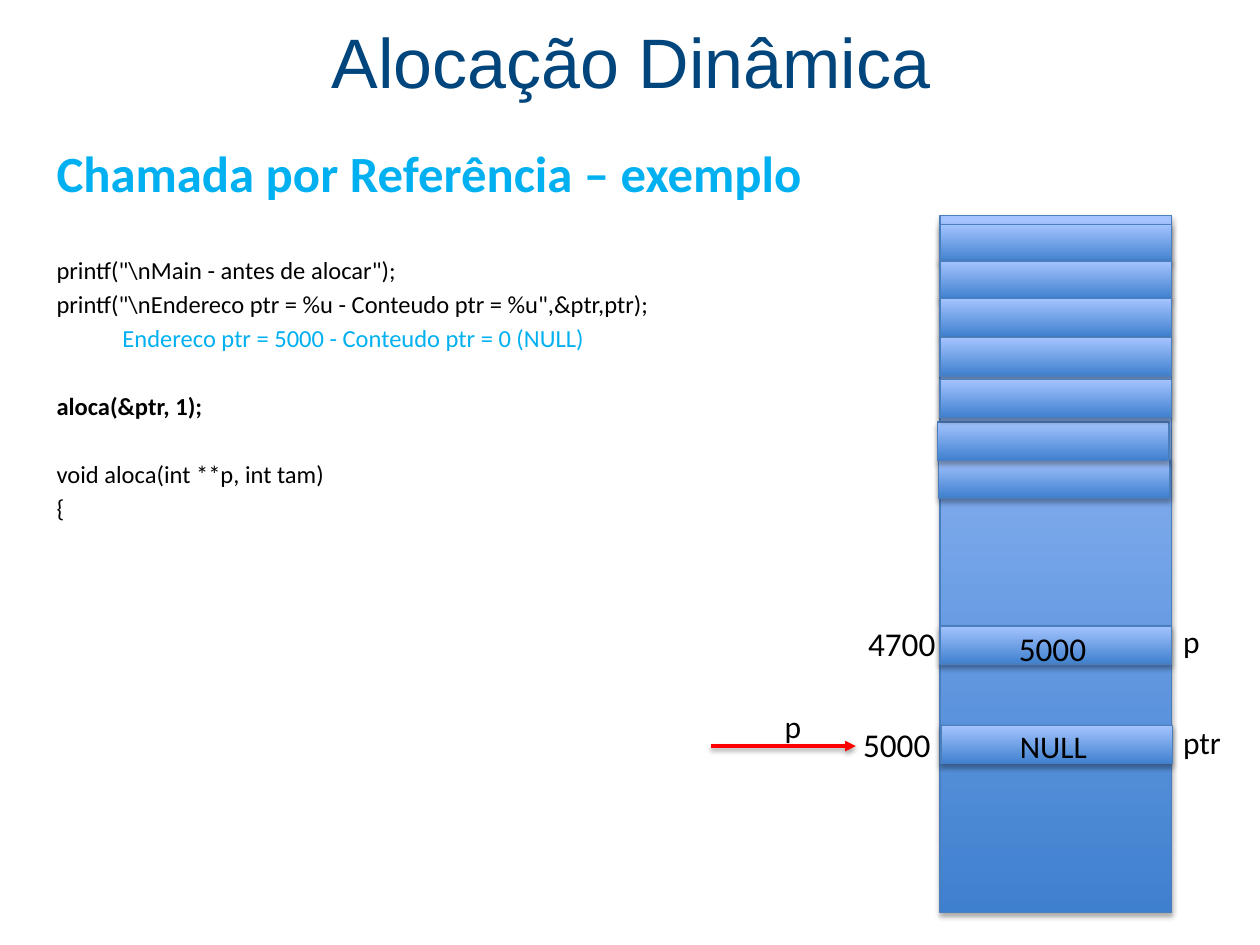
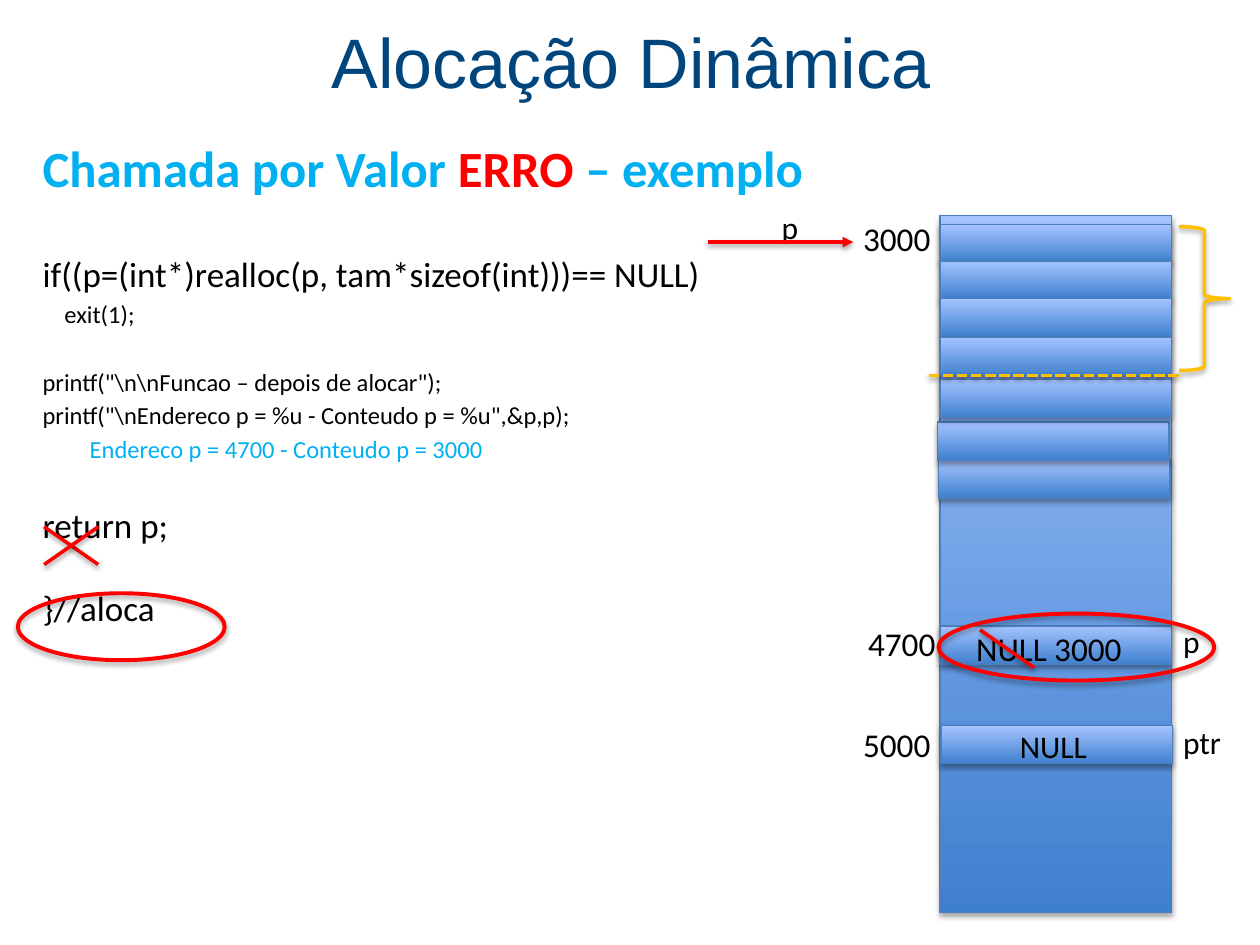
"""Build two slides on dynamic allocation, each with code beside a memory column."""
import lxml.etree
import pptx
import pptx.dml.color
import pptx.enum.dml
import pptx.enum.shapes
import pptx.enum.text
import pptx.oxml.ns
import pptx.util

Cm, Pt = pptx.util.Cm, pptx.util.Pt
SHAPE = pptx.enum.shapes.MSO_SHAPE
BLACK, CYAN, RED, AMBER, NAVY = "000000", "00B0F0", "FF0000", "FFC000", "00457C"
CELL_DARK, CELL_LIGHT, CELL_EDGE = "3F80CE", "A4C4FF", "4B7EBC"

TITLE = "Alocação Dinâmica"
TITLE_AT = (0.89, 0.08, 23.65, 2.29)
COLUMN_AT = (18.95, 4.34, 4.67, 14.05)
CELL_SIZE = (4.67, 0.77)
CELLS = [(18.95, 4.52), (18.95, 5.26), (18.95, 6.02), (18.95, 6.81), (18.92, 9.27),
         (18.9, 8.51), (18.95, 7.65), (18.95, 12.62), (18.97, 14.63)]
LABEL_HEIGHTS = {18: 1.02, 19: 1.93}
SHARED_LABELS = [
    ("ptr", 23.6, 14.45, 1.8, 18),
    ("NULL", 20.31, 14.54, 2.7, 18),
    ("5000", 17.15, 14.48, 2.16, 19),
    ("p", 23.6, 12.42, 1.8, 18),
    ("4700", 17.25, 12.45, 2.16, 19),
]
LINE_GAP = 2.5
BLANK_GAP = 22

SLIDES = [
    {
        "code_at": (0.89, 2.74, 23.95, 15.57),
        "code": [
            (0, 0, [("Chamada por Referência – exemplo", 29, CYAN, True)]),
            (30, 0, [('printf("\\nMain - antes de alocar");', 14, BLACK, False)]),
            (LINE_GAP, 0, [('printf("\\nEndereco ptr = %u - Conteudo ptr = %u",&ptr,ptr);',
                            14, BLACK, False)]),
            (LINE_GAP, 1.33, [("Endereco ptr = 5000 - Conteudo ptr = 0 (NULL)",
                               14, CYAN, False)]),
            (BLANK_GAP, 0, [("aloca(&ptr, 1);", 14, BLACK, True)]),
            (BLANK_GAP, 0, [("void aloca(int **p, int tam)", 14, BLACK, False)]),
            (LINE_GAP, 0, [("{", 14, BLACK, False)]),
        ],
        "labels": [("5000", 20.29, 12.55, 2.16, 19), ("p", 15.57, 14.12, 1.57, 18)],
        "lines": [(14.33, 15.04, 17.25, 15.04, RED, "arrow")],
        "marks": [],
    },
    {
        "code_at": (0.61, 2.64, 24.64, 15.57),
        "code": [
            (0, 0, [("Chamada por Valor ", 29, CYAN, True), ("ERRO ", 29, RED, True),
                    ("– exemplo", 29, CYAN, True)]),
            (31, 0, [("if((p=(int*)realloc(p, tam*sizeof(int)))== NULL)",
                      20, BLACK, False)]),
            (LINE_GAP, 0.44, [("exit(1);", 14, BLACK, False)]),
            (BLANK_GAP, 0, [('printf("\\n\\nFuncao – depois de alocar");',
                             14, BLACK, False)]),
            (LINE_GAP, 0, [('printf("\\nEndereco p = %u - Conteudo p = %u",&p,p);',
                            14, BLACK, False)]),
            (LINE_GAP, 0.95, [("Endereco p = 4700 - Conteudo p = 3000", 14, CYAN, False)]),
            (23, 0, [("return p;", 20, BLACK, False)]),
            (23, 0, [("}//aloca", 20, BLACK, False)]),
        ],
        "labels": [("3000", 17.15, 4.27, 2.16, 19), ("p", 15.51, 4.06, 1.57, 18),
                   ("NULL 3000", 19.43, 12.55, 3.78, 19)],
        "lines": [
            (14.27, 4.88, 17.2, 4.88, RED, "arrow"),
            (18.72, 7.57, 23.77, 7.57, AMBER, "dash"),
            (19.76, 12.7, 20.85, 13.46, RED, "plain"),
            (0.89, 10.62, 1.98, 11.38, RED, "plain"),
            (0.89, 11.38, 1.98, 10.62, RED, "plain"),
        ],
        "marks": [
            (SHAPE.RIGHT_BRACE, (23.77, 4.57, 1.02, 2.9), AMBER, 2),
            (SHAPE.OVAL, (18.92, 12.37, 5.56, 1.35), RED, 2.25),
            (SHAPE.OVAL, (0.36, 11.96, 4.17, 1.35), RED, 2.25),
        ],
    },
]


def rgb(value):
    """Turn a hex string into a colour."""
    return pptx.dml.color.RGBColor.from_string(value)


def lengths(values):
    """Turn centimetres into slide lengths."""
    return [Cm(value) for value in values]


def add_child(parent, tag, **attributes):
    """Append a drawing element with its attributes."""
    child = lxml.etree.SubElement(parent, pptx.oxml.ns.qn(tag))
    for name, value in attributes.items():
        child.set(name, str(value))
    return child


def set_shadow(item, distance, opacity):
    """Give a shape or connector a soft shadow below it."""
    properties = item._element.spPr
    effects = properties.find(pptx.oxml.ns.qn("a:effectLst"))
    if effects is None:
        effects = add_child(properties, "a:effectLst")
    shadow = add_child(effects, "a:outerShdw", blurRad=Pt(3.1), dist=Pt(distance),
                       dir=5400000, rotWithShape=0)
    color = add_child(shadow, "a:srgbClr", val=BLACK)
    add_child(color, "a:alpha", val=opacity * 1000)


def add_span(para, text, size, color, bold=False, font="Calibri"):
    """Append one formatted run."""
    span = para.add_run()
    span.text = text
    span.font.name = font
    span.font.size = Pt(size)
    span.font.bold = bold
    span.font.color.rgb = rgb(color)


def add_title(page):
    """Place and fill the title."""
    title = page.shapes.title
    title.left, title.top, title.width, title.height = lengths(TITLE_AT)
    title.text_frame.vertical_anchor = pptx.enum.text.MSO_ANCHOR.MIDDLE
    para = title.text_frame.paragraphs[0]
    para.alignment = pptx.enum.text.PP_ALIGN.CENTER
    add_span(para, TITLE, 40, NAVY, font="Arial")


def add_code(page, place, rows):
    """Write the heading and the code listing."""
    frame = page.shapes.add_textbox(*lengths(place)).text_frame
    frame.word_wrap = True
    for index, (gap, indent, spans) in enumerate(rows):
        para = frame.add_paragraph() if index else frame.paragraphs[0]
        para.space_before = Pt(gap)
        para._p.get_or_add_pPr().set("marL", str(Cm(indent)))
        for span in spans:
            add_span(para, *span)


def add_memory_box(page, place):
    """Draw one shaded rectangle of memory."""
    box = page.shapes.add_shape(SHAPE.RECTANGLE, *lengths(place))
    box.shadow.inherit = False
    box.fill.gradient()
    box.fill.gradient_angle = 90
    for stop, color in zip(box.fill.gradient_stops, (CELL_DARK, CELL_LIGHT)):
        stop.color.rgb = rgb(color)
    box.line.color.rgb = rgb(CELL_EDGE)
    box.line.width = Pt(0.75)
    set_shadow(box, 1.8, 35)


def add_label(page, text, left, top, width, size):
    """Write an address, value or variable name."""
    place = lengths((left, top, width, LABEL_HEIGHTS[size]))
    frame = page.shapes.add_textbox(*place).text_frame
    frame.word_wrap = True
    add_span(frame.paragraphs[0], text, size, BLACK)


def add_line(page, left, top, right, bottom, color, kind):
    """Draw an arrow, a dashed line or a plain stroke."""
    line = page.shapes.add_connector(pptx.enum.shapes.MSO_CONNECTOR.STRAIGHT,
                                     *lengths((left, top, right, bottom)))
    line.line.color.rgb = rgb(color)
    line.line.width = Pt(2)
    if kind == "dash":
        line.line.dash_style = pptx.enum.dml.MSO_LINE.SQUARE_DOT
    if kind == "arrow":
        add_child(line.line._get_or_add_ln(), "a:tailEnd", type="triangle")
    set_shadow(line, 1.6, 38)


def add_mark(page, kind, place, color, width):
    """Draw an outlined brace or ellipse."""
    mark = page.shapes.add_shape(kind, *lengths(place))
    mark.shadow.inherit = False
    mark.fill.background()
    mark.line.color.rgb = rgb(color)
    mark.line.width = Pt(width)
    set_shadow(mark, 1.8, 35)


def main():
    """Build and save the deck."""
    deck = pptx.Presentation()
    deck.slide_width, deck.slide_height = Cm(25.4), Cm(19.05)
    for content in SLIDES:
        page = deck.slides.add_slide(deck.slide_layouts[5])
        add_title(page)
        add_code(page, content["code_at"], content["code"])
        for place in [COLUMN_AT] + [cell + CELL_SIZE for cell in CELLS]:
            add_memory_box(page, place)
        for label in SHARED_LABELS + content["labels"]:
            add_label(page, *label)
        for line in content["lines"]:
            add_line(page, *line)
        for mark in content["marks"]:
            add_mark(page, *mark)
    deck.save("out.pptx")


if __name__ == "__main__":
    main()
